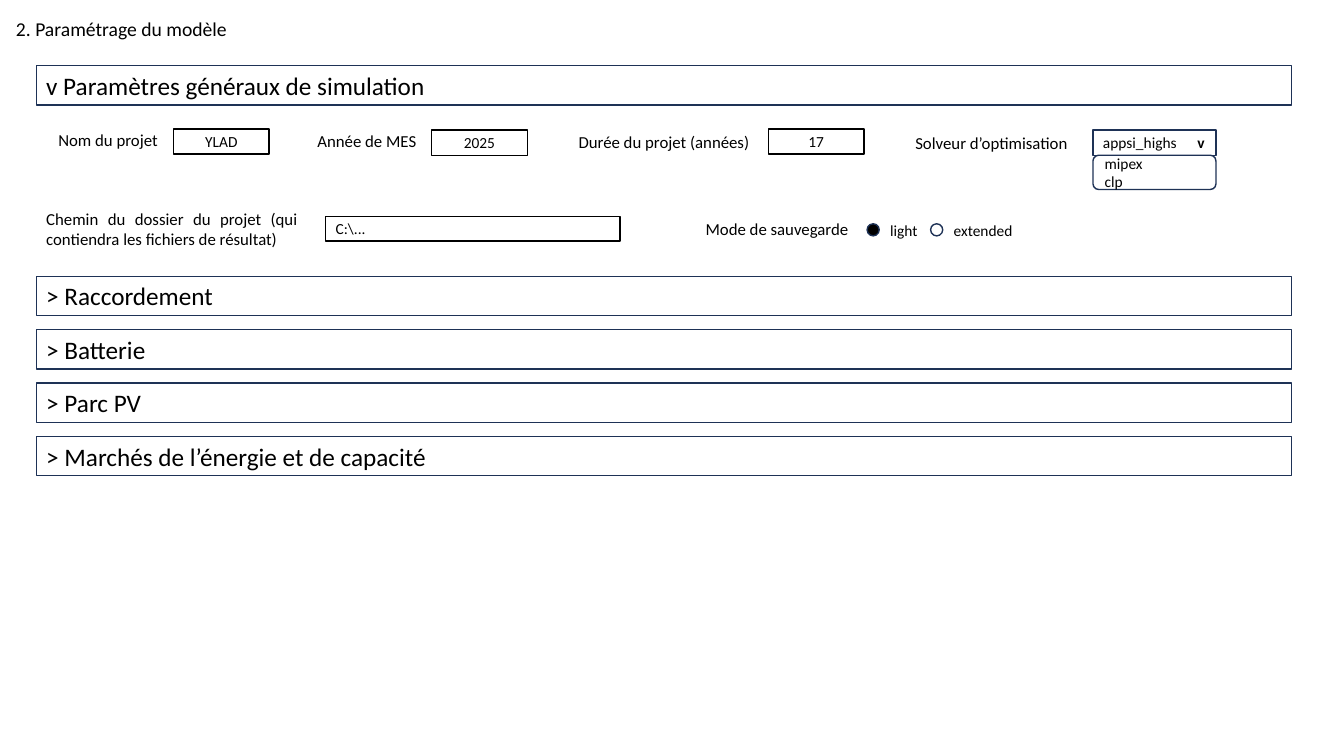
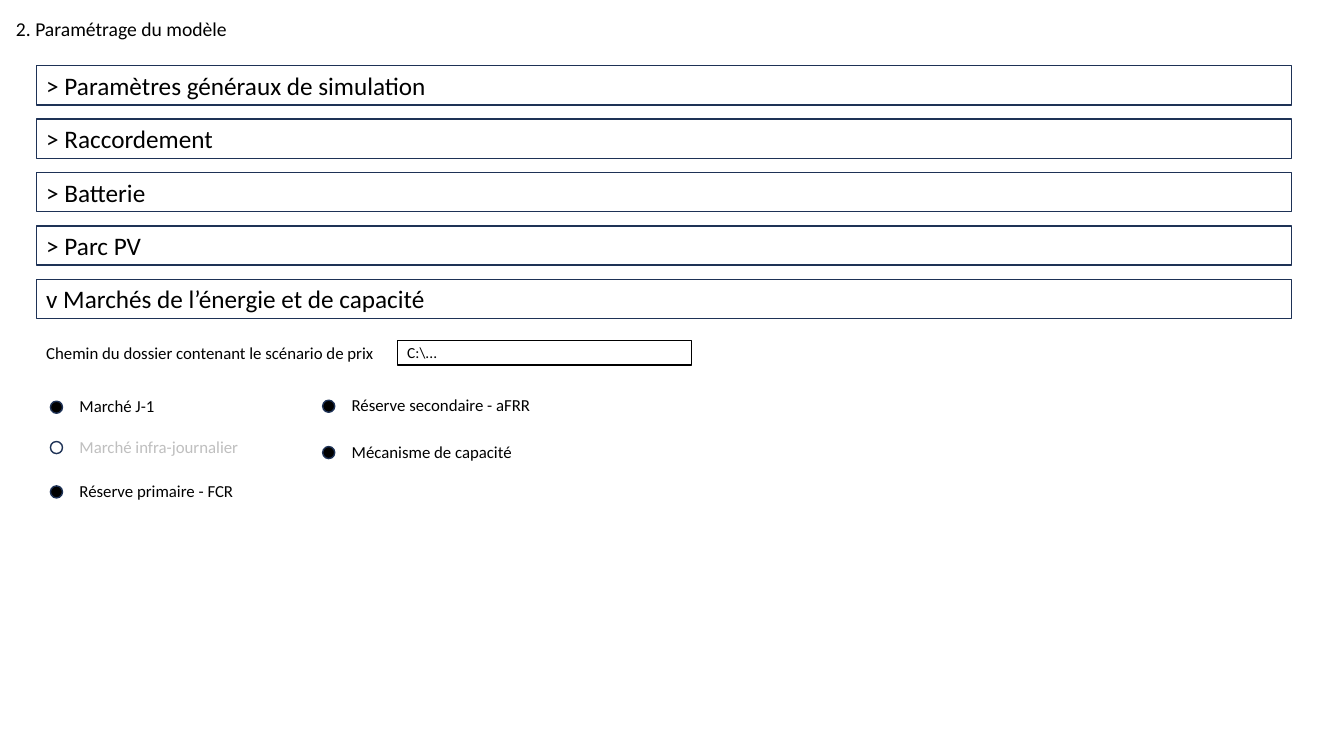
from dataclasses import dataclass

from pptx import Presentation
from pptx.dml.color import RGBColor
from pptx.enum.shapes import MSO_SHAPE
from pptx.enum.text import MSO_ANCHOR, MSO_AUTO_SIZE, PP_ALIGN
from pptx.util import Inches, Pt
from lxml import etree

RECTANGLE, ROUNDED, OVAL = MSO_SHAPE.RECTANGLE, MSO_SHAPE.ROUNDED_RECTANGLE, MSO_SHAPE.OVAL
MIDDLE, GROW = MSO_ANCHOR.MIDDLE, MSO_AUTO_SIZE.SHAPE_TO_FIT_TEXT
LEFT, CENTER, JUSTIFY = PP_ALIGN.LEFT, PP_ALIGN.CENTER, PP_ALIGN.JUSTIFY


@dataclass(frozen=True)
class Theme:
    font: str = "Calibri"
    ink: RGBColor = RGBColor(0x00, 0x00, 0x00)
    paper: RGBColor = RGBColor(0xFF, 0xFF, 0xFF)
    navy: RGBColor = RGBColor(0x1E, 0x32, 0x56)
    disabled: RGBColor = RGBColor(0xBF, 0xBF, 0xBF)
    header_size: int = 18
    title_size: int = 14
    label_size: int = 12
    value_size: int = 11
    line_width: int = 1


THEME = Theme()
TITLE = "2. Paramétrage du modèle"
SECTIONS = ["Paramètres généraux de simulation", "Raccordement", "Batterie",
            "Parc PV", "Marchés de l’énergie et de capacité"]
ACCORDION_BOX = (0.36, 0.65, 12.45, 0.39)  # left, top, width, header height
HEADER_PITCH = 0.53
FIELD_WIDTH, FIELD_HEIGHT = 0.95, 0.25
PATH_WIDTH, PATH_HEIGHT = 2.92, 0.24
LABEL_HEIGHT = 0.3
DOT = 0.12


# Basic parts
def write(shape, lines, size, color=THEME.ink, align=LEFT):
    frame = shape.text_frame
    frame.word_wrap = True
    for index, line in enumerate(lines):
        paragraph = frame.add_paragraph() if index else frame.paragraphs[0]
        paragraph.text = line
        paragraph.alignment = align
        paragraph.font.name = THEME.font
        paragraph.font.size = Pt(size)
        paragraph.font.color.rgb = color
    return frame


def add_label(slide, box, text, size=THEME.label_size, color=THEME.ink, align=LEFT):
    label = slide.shapes.add_textbox(*map(Inches, box))
    write(label, [text], size, color, align).auto_size = GROW


def add_outline(slide, box, line_color, kind=RECTANGLE, fill=None):
    shape = slide.shapes.add_shape(kind, *map(Inches, box))
    shape.shadow.inherit = False
    if fill is None:
        shape.fill.background()
    else:
        shape.fill.solid()
        shape.fill.fore_color.rgb = fill
    shape.line.color.rgb = line_color
    shape.line.width = Pt(THEME.line_width)
    return shape


def add_box(slide, box, lines, size=THEME.value_size, line_color=THEME.ink,
            align=LEFT, kind=RECTANGLE):
    shape = add_outline(slide, box, line_color, kind)
    frame = write(shape, lines, size, align=align)
    frame.vertical_anchor = MIDDLE
    return frame


# Form controls
def add_path_field(slide, left, top):
    add_box(slide, (left, top, PATH_WIDTH, PATH_HEIGHT), ["C:\\..."])


def add_radio(slide, left, top, text, label_width, selected=True, gap=0.19,
              rise=0.1, size=THEME.label_size, color=THEME.ink):
    add_outline(slide, (left, top, DOT, DOT), THEME.navy, OVAL,
                THEME.ink if selected else THEME.paper)
    add_label(slide, (left + gap, top - rise, label_width, LABEL_HEIGHT), text, size, color)


def add_dropdown(slide, box, selected, options, list_height):
    left, top, width, height = box
    frame = add_box(slide, box, [selected + "\t"], line_color=THEME.navy)
    paragraph = frame.paragraphs[0]
    arrow = paragraph.add_run()
    arrow.text = "v"
    arrow.font.bold = True
    # A right tab holds the arrow at the far edge; tab stops precede the default font
    properties = paragraph.font._element.getparent()
    namespace = etree.QName(properties).namespace
    tabs = etree.Element(f"{{{namespace}}}tabLst")
    etree.SubElement(tabs, f"{{{namespace}}}tab", pos=str(Inches(width - 0.21)), algn="r")
    properties.insert(0, tabs)
    add_box(slide, (left, top + height, width, list_height), options,
            line_color=THEME.navy, kind=ROUNDED)


# Page frame: title and section headers; returns the slide and the open panel's left and top
def add_page(presentation, open_section, panel_height=0):
    slide = presentation.slides.add_slide(presentation.slide_layouts[6])
    add_label(slide, (0.06, 0.12, 4.72, 0.34), TITLE, THEME.title_size)
    left, top, width, height = ACCORDION_BOX
    for index, section in enumerate(SECTIONS):
        is_open = index == open_section
        header_top = top + index * HEADER_PITCH
        if index > open_section:
            header_top += panel_height
        add_box(slide, (left, header_top, width, height),
                [("v " if is_open else "> ") + section], THEME.header_size, THEME.navy)
    return slide, left, top + open_section * HEADER_PITCH + height


# Panel: general simulation settings
def add_general_panel(slide, left, top):
    # Label left, top and width, then field left and top
    fields = [
        ("Nom du projet", "YLAD", 0.12, 0.2, 1.2, 1.36, 0.24),
        ("Année de MES", "2025", 2.69, 0.21, 1.2, 3.92, 0.25),
        ("Durée du projet (années)", "17", 5.28, 0.22, 1.9, 7.26, 0.24),
    ]
    for text, value, label_left, label_top, label_width, field_left, field_top in fields:
        add_label(slide, (left + label_left, top + label_top, label_width, LABEL_HEIGHT), text)
        add_box(slide, (left + field_left, top + field_top, FIELD_WIDTH, FIELD_HEIGHT),
                [value], align=CENTER)

    # Solver
    add_label(slide, (left + 8.62, top + 0.23, 1.76, LABEL_HEIGHT), "Solveur d’optimisation")
    add_dropdown(slide, (left + 10.48, top + 0.25, 1.22, FIELD_HEIGHT),
                 "appsi_highs", ["mipex", "clp"], 0.34)

    # Project folder
    add_label(slide, (left, top + 0.98, 2.69, 0.5),
              "Chemin du dossier du projet (qui contiendra les fichiers de résultat)",
              align=JUSTIFY)
    add_path_field(slide, left + 2.87, top + 1.11)

    # Saving mode
    add_label(slide, (left + 6.54, top + 1.08, 1.76, LABEL_HEIGHT), "Mode de sauvegarde")
    for text, offset, width, selected in [("light", 8.24, 0.5, True),
                                          ("extended", 8.87, 0.82, False)]:
        add_radio(slide, left + offset, top + 1.18, text, width, selected,
                  gap=0.13, rise=0.08, size=THEME.value_size)


# Panel: energy and capacity markets
def add_markets_panel(slide, left, top):
    add_label(slide, (left, top + 0.19, 3.58, LABEL_HEIGHT),
              "Chemin du dossier contenant le scénario de prix")
    add_path_field(slide, left + 3.58, top + 0.22)
    markets = [
        ("Marché J-1", 0.14, 0.82, True),
        ("Marché infra-journalier", 0.14, 1.22, False),
        ("Réserve primaire - FCR", 0.14, 1.66, True),
        ("Réserve secondaire - aFRR", 2.84, 0.81, True),
        ("Mécanisme de capacité", 2.84, 1.27, True),
    ]
    for text, dot_left, dot_top, selected in markets:
        add_radio(slide, left + dot_left, top + dot_top, text, 2.5, selected,
                  color=THEME.ink if selected else THEME.disabled)


presentation = Presentation()
presentation.slide_width, presentation.slide_height = Inches(13.33), Inches(7.5)
add_general_panel(*add_page(presentation, open_section=0, panel_height=1.56))
add_markets_panel(*add_page(presentation, open_section=4))
presentation.save("out.pptx")
